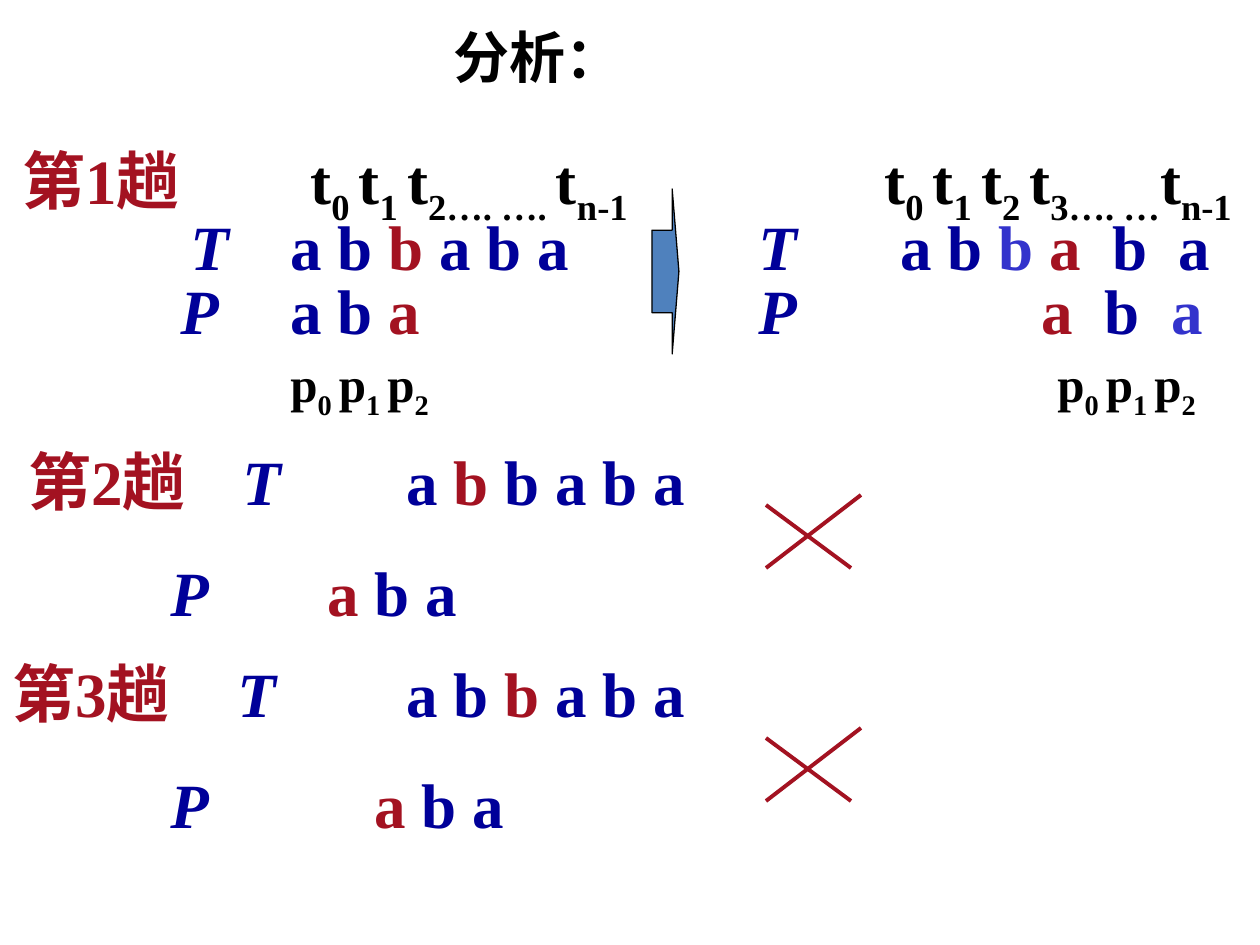
from lxml import etree
from pptx import Presentation
from pptx import util as u
from pptx.dml.color import RGBColor
from pptx.enum import shapes, text
from pptx.oxml.ns import qn

PX = 914400 / 126
BLACK = RGBColor(0x00, 0x00, 0x00)
RED = RGBColor(0xA3, 0x12, 0x21)
NAVY = RGBColor(0x00, 0x00, 0x99)
VIOLET = RGBColor(0x33, 0x33, 0xCC)
ARROW_BLUE = RGBColor(0x4F, 0x81, 0xBD)
SERIF = "Times New Roman"
LARGE, SMALL = 36, 28


def px(value):
    return u.Emu(round(value * PX))


def letter(content, color=NAVY, italic=False, size=LARGE, sub=False):
    return content, color, italic, size, sub


def name(content):
    """Italic name of a string, T or P."""
    return letter(content, italic=True)


def indexed(symbol, indices, size):
    """Symbols with subscripts, such as t0 t1 t2."""
    return [letter(part, BLACK, False, size, sub)
            for index in indices for part, sub in ((symbol, False), (index, True))]


def add_tabs(paragraph, stops):
    tab_list = etree.SubElement(paragraph._p.get_or_add_pPr(), qn("a:tabLst"))
    for stop in stops:
        etree.SubElement(tab_list, qn("a:tab"), pos=str(px(stop)), algn="l")


def add_rows(slide, box, rows, line_spacing, gap=0):
    """One text box; each row is (tab stops, letters)."""
    frame = slide.shapes.add_textbox(*map(px, box)).text_frame
    frame.word_wrap = True
    for number, (stops, letters) in enumerate(rows):
        paragraph = frame.add_paragraph() if number else frame.paragraphs[0]
        add_tabs(paragraph, stops)
        paragraph.line_spacing = line_spacing
        if number and gap:
            paragraph.space_before = u.Pt(gap)
        for content, color, italic, size, sub in letters:
            run = paragraph.add_run()
            run.text = content
            font = run.font
            font.name, font.size, font.bold, font.italic = SERIF, u.Pt(size), True, italic
            font.color.rgb = color
            if sub:
                run._r.get_or_add_rPr().set("baseline", "-25000")


def add_title(slide, box):
    title = slide.shapes.title
    title.left, title.top, title.width, title.height = map(px, box)
    frame = title.text_frame
    frame.text = "分析："
    frame.vertical_anchor = text.MSO_ANCHOR.TOP
    paragraph = frame.paragraphs[0]
    paragraph.alignment = text.PP_ALIGN.LEFT
    font = paragraph.runs[0].font
    font.name, font.size, font.bold = "Calibri", u.Pt(32), True
    font.color.rgb = BLACK


def add_first_pass(slide, box):
    start = 268
    add_rows(slide, box, [
        ([288], [letter("第1趟\t", RED)]
         + indexed("t", ["0 ", "1 ", "2…. …. ", "n-1"], LARGE)),
        ([168, start], [name("\tT\t"), letter("a b "), letter("b ", RED), letter("a b a")]),
        ([158, start], [name("\tP\t"), letter("a b "), letter("a", RED)]),
        ([start], [letter("\t")] + indexed("p", ["0 ", "1 ", "2"], SMALL)),
    ], 0.85)


def add_shifted_match(slide, box):
    add_rows(slide, box, [
        ([126], [letter("\t")] + indexed("t", ["0 ", "1 ", "2 ", "3…. …", "n-1"], LARGE)),
        ([142, 354, 420], [name("T\t"), letter("a b "), letter("b ", VIOLET),
                           letter("a", RED), letter("\tb\ta")]),
        ([283, 346, 413], [name("P\t"), letter("a", RED), letter("\tb\t"),
                           letter("a", VIOLET)]),
        ([299], [letter("\t")] + indexed("p", ["0 ", "1 ", "2"], SMALL)),
    ], 0.85)


def add_later_pass(slide, box, label, label_stops, before, after, pattern_start):
    """A failed pass: label and T on one row, P below."""
    add_rows(slide, box, [
        (label_stops + [394], [letter(label, RED), name("\tT\t"), letter(before),
                               letter("b", RED), letter(after)]),
        ([158, pattern_start], [name("\tP\t"), letter("a", RED), letter(" b a")]),
    ], 0.95, 22.5)


def add_cross(slide, left, top):
    for start_x, start_y, end_x, end_y in ((95, 0, 0, 73), (0, 10, 85, 73)):
        line = slide.shapes.add_connector(
            shapes.MSO_CONNECTOR.STRAIGHT, px(left + start_x), px(top + start_y),
            px(left + end_x), px(top + end_y))
        line.line.color.rgb = RED
        line.line.width = u.Pt(2.25)
        etree.SubElement(line._element.spPr, qn("a:effectLst"))


def add_arrow(slide, box):
    arrow = slide.shapes.add_shape(shapes.MSO_SHAPE.RIGHT_ARROW, *map(px, box))
    arrow.adjustments[0], arrow.adjustments[1] = 0.5, 0.25
    arrow.shadow.inherit = False
    arrow.fill.solid()
    arrow.fill.fore_color.rgb = ARROW_BLUE
    arrow.line.color.rgb = BLACK
    arrow.line.width = u.Pt(0.75)


def main():
    presentation = Presentation()
    presentation.slide_width, presentation.slide_height = px(1260), px(945)
    slide = presentation.slides.add_slide(presentation.slide_layouts[5])
    add_title(slide, (441, 16, 596, 81))

    # First pass and the shift that follows it
    add_first_pass(slide, (10, 140, 693, 290))
    add_arrow(slide, (652, 189, 27, 165))
    add_shifted_match(slide, (746, 140, 514, 284))

    # Passes that fail
    add_later_pass(slide, (0, 442, 1040, 197), "\t第2趟", [16, 230], "a ", " b a b a", 315)
    add_cross(slide, 766, 495)
    add_later_pass(slide, (0, 654, 1040, 197), "第3趟", [225], "a b ", " a b a", 362)
    add_cross(slide, 766, 728)

    presentation.save("out.pptx")


if __name__ == "__main__":
    main()
